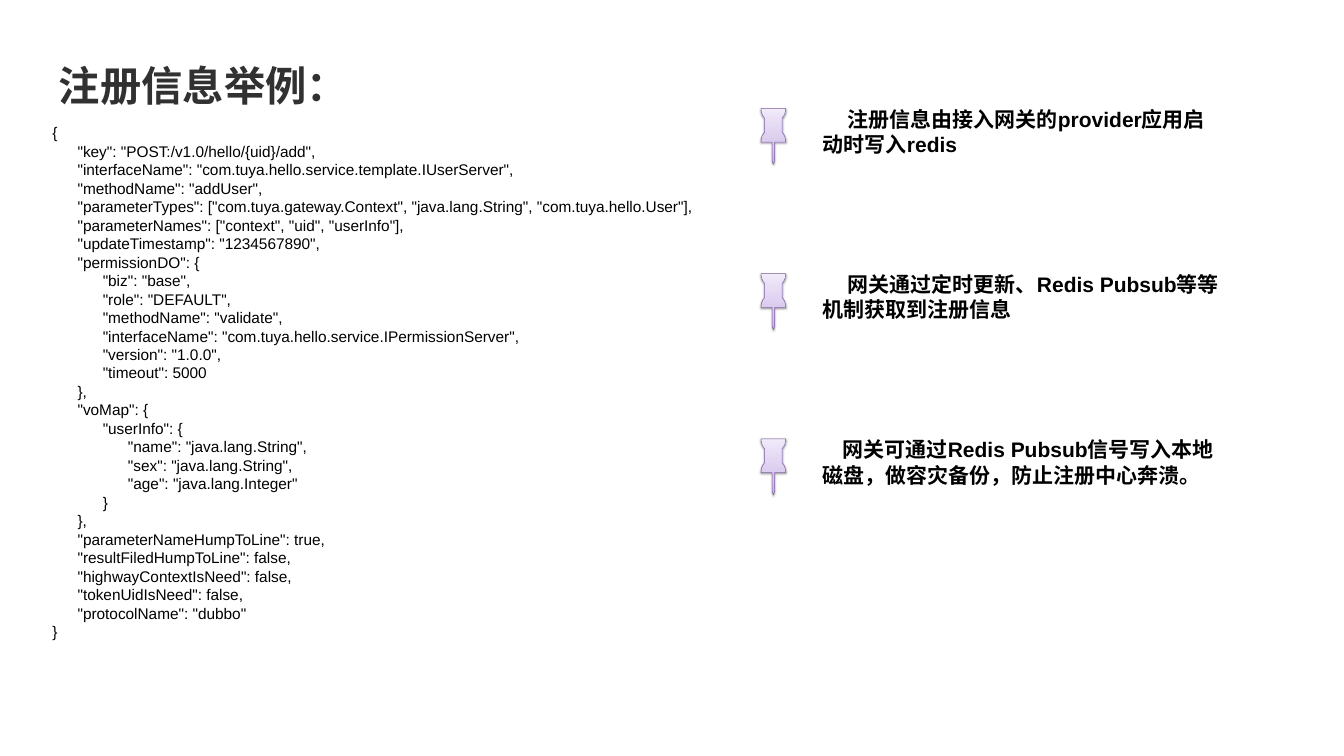
"""Build the slide with a sample of gateway registration info and three pinned notes."""
from copy import deepcopy

from lxml import etree
from pptx import Presentation
from pptx.dml.color import RGBColor
from pptx.enum.text import MSO_AUTO_SIZE
from pptx.oxml.ns import qn
from pptx.util import Cm, Pt

FIT = MSO_AUTO_SIZE.SHAPE_TO_FIT_TEXT
BLACK = RGBColor(0x00, 0x00, 0x00)
CHARCOAL = RGBColor(0x31, 0x31, 0x31)
PURPLE = RGBColor(0x7D, 0x60, 0xA0)
PIN_STOPS = [
    (0, RGBColor(0xC8, 0xB2, 0xE9)),
    (0.35, RGBColor(0xD8, 0xC9, 0xEE)),
    (1, RGBColor(0xF0, 0xEA, 0xF9)),
]
CJK = "Noto Sans CJK SC"
CODE = [
    (0, '{'),
    (1, '"key": "POST:/v1.0/hello/{uid}/add",'),
    (1, '"interfaceName": "com.tuya.hello.service.template.IUserServer",'),
    (1, '"methodName": "addUser",'),
    (1, '"parameterTypes": ["com.tuya.gateway.Context", "java.lang.String", "com.tuya.hello.User"],'),
    (1, '"parameterNames": ["context", "uid", "userInfo"],'),
    (1, '"updateTimestamp": "1234567890",'),
    (1, '"permissionDO": {'),
    (2, '"biz": "base",'),
    (2, '"role": "DEFAULT",'),
    (2, '"methodName": "validate",'),
    (2, '"interfaceName": "com.tuya.hello.service.IPermissionServer",'),
    (2, '"version": "1.0.0",'),
    (2, '"timeout": 5000'),
    (1, '},'),
    (1, '"voMap": {'),
    (2, '"userInfo": {'),
    (3, '"name": "java.lang.String",'),
    (3, '"sex": "java.lang.String",'),
    (3, '"age": "java.lang.Integer"'),
    (2, '}'),
    (1, '},'),
    (1, '"parameterNameHumpToLine": true,'),
    (1, '"resultFiledHumpToLine": false,'),
    (1, '"highwayContextIsNeed": false,'),
    (1, '"tokenUidIsNeed": false,'),
    (1, '"protocolName": "dubbo"'),
    (0, '}'),
]
NOTES = [
    ("注册信息由接入网关的provider应用启动时写入redis", 1.26),
    ("网关通过定时更新、Redis Pubsub等等机制获取到注册信息", 1.26),
    ("网关可通过Redis Pubsub信号写入本地磁盘，做容灾备份，防止注册中心奔溃。", 1),
]


def add_text(s, box, text, size, color=BLACK, font="Arial", bold=False, wrap=True, inset=0):
    tf = s.shapes.add_textbox(*[Cm(v) for v in box]).text_frame
    tf.word_wrap = wrap
    tf.auto_size = FIT
    tf.margin_left = tf.margin_right = tf.margin_top = tf.margin_bottom = Cm(inset)
    tf.text = text
    for p in tf.paragraphs:
        for r in p.runs:
            r.font.name = font
            r.font.size = Pt(size)
            r.font.bold = bold
            r.font.color.rgb = color
            etree.SubElement(r.font._element, qn("a:ea"), typeface=CJK)
    return tf


def add_pin(s, center, top):
    curve = [(0.62, 0), (0.61, 0.14), (0.58, 0.27), (0.52, 0.39), (0.44, 0.5)]
    side = curve + [(x, 1.7 - y) for x, y in reversed(curve)] + [(0.06, 1.7), (0.06, 2.64)]
    outline = side + [(0, 2.82)] + [(-x, y) for x, y in reversed(side)]
    points = [(Cm(center + x), Cm(top + y)) for x, y in outline]
    builder = s.shapes.build_freeform(*points[0])
    builder.add_line_segments(points[1:])
    sp = builder.convert_to_shape()
    sp.fill.gradient()
    sp.fill.gradient_angle = 90
    stops = sp._element.spPr.find(".//" + qn("a:gsLst"))
    stops.insert(1, deepcopy(stops[0]))
    for stop, (position, color) in zip(sp.fill.gradient_stops, PIN_STOPS):
        stop.position = position
        stop.color.rgb = color
    sp.line.color.rgb = PURPLE
    sp.line.width = Pt(0.75)
    sp.shadow.inherit = False
    effects = sp._element.spPr.find(qn("a:effectLst"))
    shadow = etree.SubElement(effects, qn("a:outerShdw"), blurRad=str(Pt(3)),
                              dist=str(Pt(1.6)), dir="5400000", rotWithShape="0")
    color = etree.SubElement(shadow, qn("a:srgbClr"), val=str(BLACK))
    etree.SubElement(color, qn("a:alpha"), val="38000")


prs = Presentation()
prs.slide_width = Cm(67.74)
prs.slide_height = Cm(38.1)
s = prs.slides.add_slide(prs.slide_layouts[6])

title = add_text(s, (2.84, 2.31, 21.87, 3.18), "注册信息举例：", 59,
                 color=CHARCOAL, font=CJK, bold=True, inset=0.13)
title.paragraphs[0].line_spacing = 1.23

code = "\n".join("\t" * level + line for level, line in CODE)
add_text(s, (2.64, 6.22, 33.83, 25.65), code, 22, wrap=False)

for i, (text, indent) in enumerate(NOTES):
    top = 5.36 + i * 8.33
    tf = add_text(s, (41.48, top, 20.24, 3), text, 30, bold=True)
    tf.paragraphs[0]._p.get_or_add_pPr().set("indent", str(Cm(indent)))
    add_pin(s, 38.98, top + 0.1)

prs.save("out.pptx")
